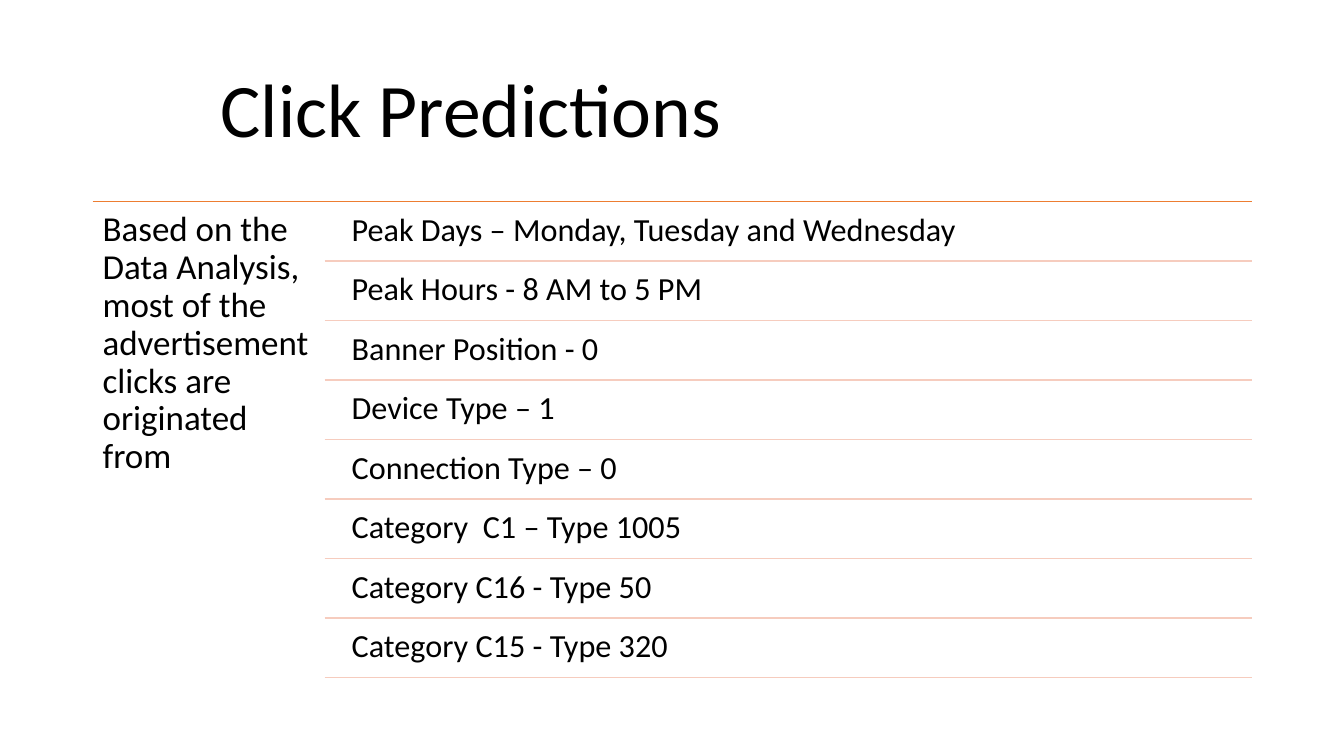
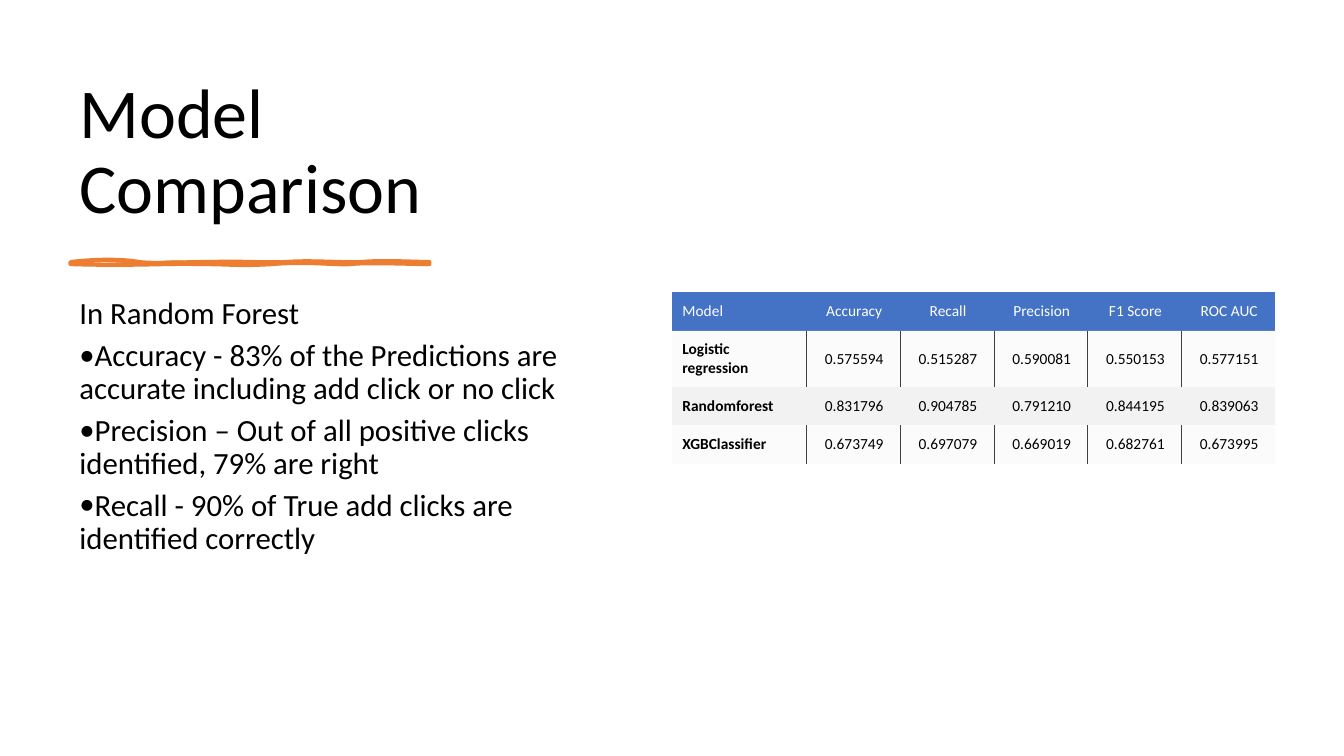
from dataclasses import dataclass
from lxml.etree import SubElement
from pptx import Presentation
from pptx.dml.color import RGBColor
from pptx.enum.shapes import MSO_CONNECTOR
from pptx.enum.text import MSO_ANCHOR as Anchor, PP_ALIGN as Align
from pptx.oxml import parse_xml
from pptx.oxml.ns import nsdecls, qn
from pptx.util import Inches, Pt


@dataclass(frozen=True)
class Theme:
    """Colours, font and type sizes of both slides."""
    font: str = "Calibri"
    ink: str = "000000"
    white: str = "FFFFFF"
    accent: str = "ED7D31"
    pale_rule: str = "F6CCBE"
    header: str = "4472C4"
    band: str = "F2F2F2"
    border: str = "404040"
    wide_title: int = 54
    narrow_title: int = 50
    lead: int = 25
    item: int = 23
    body: int = 22
    cell: int = 11


def set_font(paragraph, size, colour, bold=False):
    """Give a paragraph the theme font in one size and colour."""
    paragraph.font.name = theme.font
    paragraph.font.size = Pt(size)
    paragraph.font.bold = bold
    paragraph.font.color.rgb = RGBColor.from_string(colour)


def add_text(slide, box, lines, size, anchor=Anchor.TOP, inset=0.05, after=0):
    """Add a wrapped text box, one paragraph per line, and return its frame."""
    frame = slide.shapes.add_textbox(*map(Inches, box)).text_frame
    frame.word_wrap = True
    frame.vertical_anchor = anchor
    frame.margin_top = frame.margin_bottom = Inches(inset)
    frame.text = "\n".join(lines)
    for paragraph in frame.paragraphs:
        paragraph.line_spacing = 0.9
        paragraph.space_after = Pt(after)
        set_font(paragraph, size, theme.ink)
    return frame


theme = Theme()
presentation = Presentation()
presentation.slide_height = Inches(7.5)
presentation.slide_width = presentation.slide_height * 16 // 9
blank = presentation.slide_layouts[6]

# Slide 1: lead text beside a ruled list
slide = presentation.slides.add_slide(blank)
add_text(slide, (2.09, 0.4, 10.32, 1.45), ["Click Predictions"],
         theme.wide_title, Anchor.MIDDLE)

left, right, top, row_height = 0.92, 12.42, 2, 0.59
list_left = left + (right - left) / 5
text_left = list_left + 0.17
items = ["Peak Days – Monday, Tuesday and Wednesday", "Peak Hours - 8 AM to 5 PM",
         "Banner Position - 0", "Device Type – 1", "Connection Type – 0",
         "Category  C1 – Type 1005", "Category C16 - Type 50",
         "Category C15 - Type 320"]

add_text(slide, (left, top, list_left - left, 4.76),
         ["Based on the Data Analysis, most of the advertisement clicks are "
          "originated from"], theme.lead, inset=0.1)
rules = [(left, top, theme.accent)]
for index, item in enumerate(items):
    row_top = top + 0.02 + index * row_height
    add_text(slide, (text_left, row_top, right - text_left, 0.56), [item],
             theme.item, inset=0.1)
    rules.append((list_left, top + (index + 1) * row_height, theme.pale_rule))
for start, height, colour in rules:
    rule = slide.shapes.add_connector(
        MSO_CONNECTOR.STRAIGHT, *map(Inches, (start, height, right, height)))
    rule.line.color.rgb = RGBColor.from_string(colour)
    rule.line.width = Pt(1)
    SubElement(rule._element.spPr, qn("a:effectLst"))

# Slide 2: findings beside the score table
slide = presentation.slides.add_slide(blank)
add_text(slide, (0.69, 0.7, 5.27, 1.62), ["Model Comparison"],
         theme.narrow_title, Anchor.BOTTOM)

# Each brush edge is a start point followed by three points per Bezier curve
brush_outline = [
    (0.7, 2.6), (0.97, 2.57), (1.21, 2.57), (1.38, 2.6), (1.55, 2.62),
    (1.77, 2.6), (2.09, 2.6), (2.41, 2.59), (2.6, 2.61), (2.84, 2.6),
    (3.08, 2.58), (3.39, 2.61), (3.59, 2.6), (3.79, 2.58), (4.12, 2.6),
    (4.26, 2.6), (4.26, 2.6), (4.26, 2.61), (4.26, 2.62), (4.08, 2.62),
    (3.64, 2.6), (3.48, 2.62), (3.32, 2.63), (3.04, 2.59), (2.7, 2.62),
    (2.35, 2.64), (2.31, 2.62), (1.99, 2.62), (1.66, 2.61), (1.32, 2.64),
    (0.7, 2.62), (0.7, 2.61), (0.7, 2.6), (0.7, 2.6)]
brush_body = [
    (0.7, 2.6), (1.02, 2.62), (1.1, 2.6), (1.38, 2.6), (1.66, 2.59),
    (1.69, 2.57), (1.99, 2.6), (2.28, 2.62), (2.61, 2.61), (2.77, 2.6),
    (2.93, 2.58), (3.27, 2.62), (3.44, 2.6), (3.62, 2.57), (3.97, 2.63),
    (4.26, 2.6), (4.26, 2.6), (4.26, 2.61), (4.26, 2.62), (4.12, 2.61),
    (3.72, 2.64), (3.55, 2.62), (3.39, 2.59), (3.09, 2.62), (2.77, 2.62),
    (2.44, 2.61), (2.4, 2.6), (2.16, 2.62), (1.93, 2.63), (1.79, 2.61),
    (1.45, 2.62), (1.11, 2.62), (0.92, 2.61), (0.7, 2.62), (0.7, 2.61),
    (0.7, 2.6), (0.7, 2.6)]
outline, body = ([(Inches(x), Inches(y)) for x, y in edge]
                 for edge in (brush_outline, brush_body))
builder = slide.shapes.build_freeform(*outline[0])
builder.add_line_segments(outline[1:], close=True)
builder.move_to(*body[0])
builder.add_line_segments(body[1:], close=True)
brush = builder.convert_to_shape()
brush.shadow.inherit = False
brush.fill.solid()
brush.fill.fore_color.rgb = RGBColor.from_string(theme.accent)
brush.line.color.rgb = RGBColor.from_string(theme.accent)
brush.line.width = Pt(3)

# Turn each three line segments into one curve, then part outline from body
contour = brush._element.find(".//" + qn("a:path"))
segments = contour.findall(qn("a:lnTo"))
for first in range(0, len(segments), 3):
    curve = parse_xml(f'<a:cubicBezTo {nsdecls("a")}/>')
    segments[first].addprevious(curve)
    for segment in segments[first:first + 3]:
        curve.append(segment[0])
        contour.remove(segment)
body_contour = SubElement(contour.getparent(), qn("a:path"), dict(contour.attrib))
body_start = contour.index(contour.findall(qn("a:moveTo"))[1])
for part in list(contour)[body_start:]:
    body_contour.append(part)
contour.set("fill", "none")
body_contour.set("stroke", "0")

findings = add_text(slide, (0.69, 2.91, 5.27, 3.88), [
    "In Random Forest",
    "Accuracy - 83% of the Predictions are accurate including add click or no click",
    "Precision – Out of all positive clicks identified, 79% are right",
    "Recall - 90% of True add clicks are identified correctly"],
    theme.body, after=6)
for paragraph in findings.paragraphs[1:]:
    properties = paragraph._p.get_or_add_pPr()
    properties.set("marL", "0")
    properties.set("indent", str(-Inches(0.25)))
    defaults = properties.find(qn("a:defRPr"))
    for tag in (f'buFont {nsdecls("a")} typeface="{theme.font}"',
                f'buChar {nsdecls("a")} char="•"'):
        defaults.addprevious(parse_xml(f"<a:{tag}/>"))

scores = [
    ("Model", "Accuracy", "Recall", "Precision", "F1 Score", "ROC AUC"),
    ("Logistic regression", "0.575594", "0.515287", "0.590081", "0.550153", "0.577151"),
    ("Randomforest", "0.831796", "0.904785", "0.791210", "0.844195", "0.839063"),
    ("XGBClassifier", "0.673749", "0.697079", "0.669019", "0.682761", "0.673995")]
column_widths = [1.33] + [0.93] * 5
row_heights = [0.38, 0.56, 0.38, 0.38]
table = slide.shapes.add_table(
    len(scores), len(column_widths),
    *map(Inches, (6.67, 2.9, sum(column_widths), sum(row_heights)))).table
table.first_row = table.horz_banding = False
no_style_no_grid = "{2D5ABB26-0587-4C30-8999-92F81FD0307C}"
table._tbl.tblPr.find(qn("a:tableStyleId")).text = no_style_no_grid
for column, width in zip(table.columns, column_widths):
    column.width = Inches(width)
for row_index, (values, height) in enumerate(zip(scores, row_heights)):
    table.rows[row_index].height = Inches(height)
    is_header, is_pale = row_index == 0, row_index % 2 == 1
    for column_index, value in enumerate(values):
        cell = table.cell(row_index, column_index)
        cell.text = value
        cell.vertical_anchor = Anchor.MIDDLE
        cell.margin_left = Inches(0.1)
        cell.margin_right = cell.margin_top = cell.margin_bottom = Inches(0.08)
        paragraph = cell.text_frame.paragraphs[0]
        paragraph.alignment = Align.CENTER if column_index else Align.LEFT
        set_font(paragraph, theme.cell, theme.white if is_header else theme.ink,
                 bold=not is_header and column_index == 0)
        cell.fill.solid()
        cell.fill.fore_color.rgb = RGBColor.from_string(
            theme.header if is_header else theme.band)
        if is_pale:
            cell_properties = cell._tc.tcPr
            colour = cell_properties.find(".//" + qn("a:srgbClr"))
            SubElement(colour, qn("a:alpha"), val="30000")
            sides = ["lnL"] * (column_index > 0) + ["lnR"] * (column_index < 5)
            for position, side in enumerate(sides):
                cell_properties.insert(position, parse_xml(
                    f'<a:{side} {nsdecls("a")} w="{Pt(0.5)}"><a:solidFill>'
                    f'<a:srgbClr val="{theme.border}"/></a:solidFill></a:{side}>'))

presentation.save("out.pptx")
